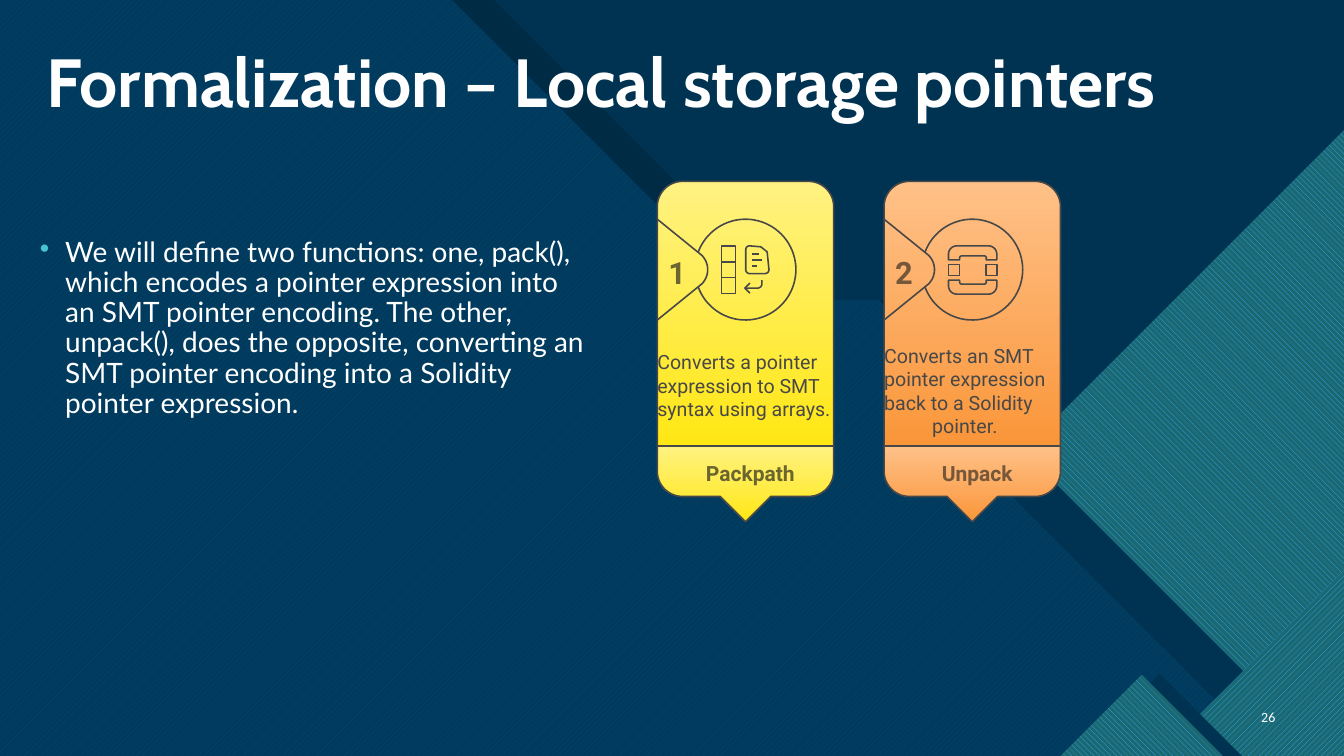
from math import cos, radians, sin

from lxml import etree
from pptx import Presentation
from pptx.dml.color import RGBColor
from pptx.enum.dml import MSO_PATTERN
from pptx.enum.shapes import MSO_SHAPE
from pptx.enum.text import MSO_ANCHOR, PP_ALIGN
from pptx.oxml.ns import qn
from pptx.util import Pt

WIDTH, HEIGHT = 960, 540
NAVY = RGBColor(0x00, 0x33, 0x52)
BLACK = RGBColor(0x00, 0x00, 0x00)
WHITE = RGBColor(0xFF, 0xFF, 0xFF)
AQUA = RGBColor(0x47, 0xC3, 0xD3)
OCEAN = RGBColor(0x00, 0x65, 0xA4)
SKY = RGBColor(0x2F, 0xAF, 0xFF)
TEAL = RGBColor(0x1B, 0x68, 0x72)
GRAY = RGBColor(0x48, 0x48, 0x48)
YELLOWS = RGBColor(0xFF, 0xF2, 0x82), RGBColor(0xFF, 0xE7, 0x14)
ORANGES = RGBColor(0xFF, 0xC1, 0x88), RGBColor(0xFA, 0x96, 0x3A)
OLIVE = RGBColor(0x6B, 0x65, 0x2F)
BROWN = RGBColor(0x76, 0x57, 0x3A)

UP = MSO_PATTERN.WIDE_UPWARD_DIAGONAL
DOWN = MSO_PATTERN.WIDE_DOWNWARD_DIAGONAL
LEFT, CENTER, RIGHT = PP_ALIGN.LEFT, PP_ALIGN.CENTER, PP_ALIGN.RIGHT
TOP, MIDDLE, BOTTOM = MSO_ANCHOR.TOP, MSO_ANCHOR.MIDDLE, MSO_ANCHOR.BOTTOM


def arc(center_x, center_y, radius, start, end, steps=24):
    angles = [radians(start + (end - start) * i / steps) for i in range(steps + 1)]
    return [(center_x + radius * cos(a), center_y + radius * sin(a)) for a in angles]


def closed(points):
    return points + points[:1]


def box(left, top, right, bottom):
    return closed([(left, top), (right, top), (right, bottom), (left, bottom)])


class Deck:
    """Holds the slide style and draws each kind of element on the current slide."""

    line_width = 1.12
    card_top, card_width, card_radius = 129.6, 126, 18

    def __init__(self):
        self.presentation = Presentation()
        self.presentation.slide_width = Pt(WIDTH)
        self.presentation.slide_height = Pt(HEIGHT)
        self.slide = self.presentation.slides.add_slide(self.presentation.slide_layouts[6])

    def paint(self, shape, color=None, alpha=None, pattern=None, gradient=None, line=None):
        shape.shadow.inherit = False
        fill = shape.fill
        if pattern:
            fill.patterned()
            fill.pattern, fill.fore_color.rgb, fill.back_color.rgb = pattern
        elif gradient:
            fill.gradient()
            fill.gradient_angle = 270
            for stop, position, stop_color in zip(fill.gradient_stops, (0, 1), gradient):
                stop.position = position
                stop.color.rgb = stop_color
        elif color is not None:
            fill.solid()
            fill.fore_color.rgb = color
            if alpha:
                color_element = shape._element.spPr.find(qn("a:solidFill"))[0]
                etree.SubElement(color_element, qn("a:alpha"), val=str(alpha * 1000))
        else:
            fill.background()
        if line is None:
            shape.line.fill.background()
        else:
            shape.line.color.rgb = line
            shape.line.width = Pt(self.line_width)

    def rectangle(self, left, top, width, height, **style):
        shape = self.slide.shapes.add_shape(
            MSO_SHAPE.RECTANGLE, Pt(left), Pt(top), Pt(width), Pt(height))
        self.paint(shape, **style)

    def outline(self, *contours, left=0, top=0, **style):
        builder = None
        for contour in contours:
            points = [(Pt(left + x), Pt(top + y)) for x, y in contour]
            if builder is None:
                builder = self.slide.shapes.build_freeform(*points[0], scale=1.0)
            else:
                builder.move_to(*points[0])
            builder.add_line_segments(points[1:], close=contour[0] == contour[-1])
        self.paint(builder.convert_to_shape(), **style)

    def text(self, text, left, top, width, height, *, size, font, color=WHITE, bold=False,
             align=LEFT, last_align=None, anchor=TOP, spacing=None, bullet=None, tight=False):
        frame = self.slide.shapes.add_textbox(
            Pt(left), Pt(top), Pt(width), Pt(height)).text_frame
        frame.word_wrap = not tight
        frame.vertical_anchor = anchor
        if tight:
            frame.margin_left = frame.margin_right = 0
            frame.margin_top = frame.margin_bottom = 0
        frame.text = text
        for paragraph in frame.paragraphs:
            paragraph.alignment = align
            if spacing:
                paragraph.line_spacing = spacing
            if bullet:
                properties = paragraph._p.get_or_add_pPr()
                properties.set("marL", str(Pt(18)))
                properties.set("indent", str(Pt(-18)))
                bullet_color = etree.SubElement(properties, qn("a:buClr"))
                etree.SubElement(bullet_color, qn("a:srgbClr"), val=str(AQUA))
                etree.SubElement(properties, qn("a:buChar"), char=bullet)
            for run in paragraph.runs:
                run.font.size = Pt(size)
                run.font.name = font
                run.font.bold = bold
                run.font.color.rgb = color
        if last_align:
            frame.paragraphs[-1].alignment = last_align

    def band(self, left, top_edge, **style):
        x, slope, shelf = top_edge, 214, 90.5
        end = x + slope + shelf + HEIGHT - slope
        points = [(left, 0), (x, 0), (x + slope, slope), (x + slope + shelf, slope)]
        if end > WIDTH:
            points += [(WIDTH, HEIGHT - end + WIDTH), (WIDTH, HEIGHT)]
        else:
            points.append((end, HEIGHT))
        self.outline(closed(points + [(left, HEIGHT)]), **style)

    def background(self):
        self.rectangle(0, 0, WIDTH, HEIGHT, color=NAVY)
        self.band(30, 353, color=BLACK)
        self.band(0, 323, pattern=(UP, AQUA, OCEAN))
        self.band(0, 500.5, color=NAVY, alpha=85)
        down, up = (DOWN, SKY, TEAL), (UP, SKY, TEAL)
        self.outline(closed([(960, 111.5), (960, 510), (878.5, 510), (720, 351.5)]), color=NAVY)
        self.outline(closed([(960, 93), (960, 530.5), (939.5, 530.5), (731, 322)]), pattern=down)
        self.outline(closed([(960, 407.5), (960, 540), (827.5, 540)]), pattern=up)
        self.outline(closed([(887, 540), (828.5, 481.5), (770, 540)]), color=NAVY)
        self.outline(closed([(757.5, 540), (815.5, 482), (873.5, 540)]), pattern=down)

    def card(self, left, number, label, description, text_top, gradient, ink, icon):
        width, radius, middle = self.card_width, self.card_radius, self.card_width / 2
        place = {"left": left, "top": self.card_top}
        inner = width - radius
        body = (arc(radius, radius, radius, 180, 270) + arc(inner, radius, radius, 270, 360)
                + [(width, 189), (0, 189)])
        footer = ([(0, 189), (width, 189)] + arc(inner, 207, radius, 0, 90)
                  + [(middle + 18, 225), (middle, 243), (middle - 18, 225)]
                  + arc(radius, 207, radius, 90, 180))
        for part in (body, footer):
            self.outline(closed(part), gradient=gradient, line=GRAY, **place)
        tab = [(0, 27)] + arc(21.5, 63, 14.5, -45, 45) + [(0, 99)]
        self.outline(tab, arc(middle, 63, 36, -160, 160, 72), line=GRAY, **place)
        self.outline(*icon, left=left + 46, top=self.card_top + 46, line=GRAY)
        heading = {"font": "Roboto", "color": ink, "bold": True, "align": CENTER, "tight": True}
        self.text(number, left + 7, 181.5, 14.5, 31.5, size=22, **heading)
        self.text(description, left, text_top, width, 17 * (description.count("\n") + 1),
                  size=14, font="Roboto", color=GRAY, last_align=CENTER, tight=True)
        self.text(label, left + 30.5, 329, 72, 22, size=15, **heading)


def pack_icon():
    page = ([(28, 0.7), (32.5, 4.3)] + arc(31, 17, 2.8, 0, 90)
            + arc(20, 17, 2.8, 90, 180) + arc(20, 2.8, 2.8, 180, 270))
    text_lines = [[(21.6, y), (x, y)] for y, x in ((5.8, 26.6), (10, 28.8), (14.4, 25.2))]
    arrow = [(28.8, 24.5)] + arc(25.6, 27, 3.2, 0, 90) + [(16.6, 30.2)]
    head = [(20.2, 26.6), (16.6, 30.2), (20.2, 33.8)]
    dividers = [[(0, y), (10, y)] for y in (11.5, 22.5)]
    return [box(0, 0, 10, 34), *dividers, closed(page), *text_lines, arrow, head]


def unpack_icon():
    clamp = closed(arc(28.5, 6, 6, 270, 360) + [(34.5, 10), (27, 10)]
                   + arc(25.6, 8.6, 1.4, 0, -90) + arc(9.4, 8.6, 1.4, 270, 180)
                   + [(8, 10), (0, 10)] + arc(6, 6, 6, 180, 270))
    mirrored = [(x, 34.5 - y) for x, y in clamp]
    return [box(0, 13.2, 8, 21.2), box(27, 13.2, 34.5, 21.2), clamp, mirrored]


def main():
    deck = Deck()
    deck.background()
    deck.text("Formalization – Local storage pointers", 26, 23, 892, 67.5, size=48.6,
              font="Cabin", bold=True, anchor=BOTTOM, spacing=0.9)
    deck.text("26", 886.5, 497.5, 31.5, 29, size=10, font="Calibri", align=RIGHT, anchor=MIDDLE)
    deck.text("We will define two functions: one, pack(), which encodes a pointer expression "
              "into an SMT pointer encoding. The other, unpack(), does the opposite, converting "
              "an SMT pointer encoding into a Solidity pointer expression.",
              21.5, 166.5, 404, 305, size=20, font="Lato", spacing=0.9, bullet="•")
    cards = [
        ("Packpath", "Converts a pointer\nexpression to SMT\nsyntax using arrays.",
         250, YELLOWS, OLIVE, pack_icon()),
        ("Unpack", "Converts an SMT\npointer expression\nback to a Solidity\npointer.",
         245.5, ORANGES, BROWN, unpack_icon()),
    ]
    for index, content in enumerate(cards):
        deck.card(469.5 + 162 * index, str(index + 1), *content)
    deck.presentation.save("out.pptx")


if __name__ == "__main__":
    main()
